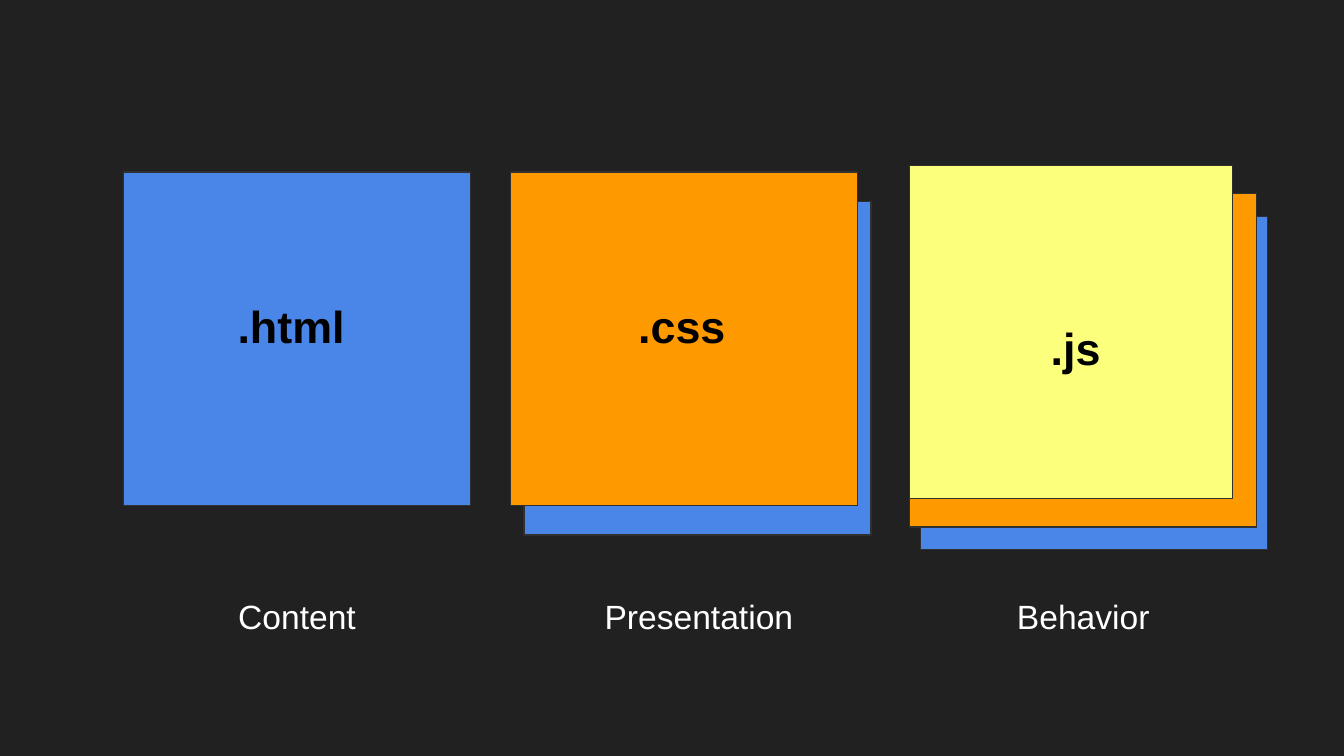
from pptx import Presentation
from pptx.dml.color import RGBColor
from pptx.enum import shapes, text
from pptx.util import Pt

BLUE, ORANGE, YELLOW = "4A86E8", "FF9900", "FCFF7B"
BACKGROUND, OUTLINE, WHITE, BLACK = "212121", "303030", "FFFFFF", "000000"
CARD_WIDTH, CARD_HEIGHT = 185.8, 178.6


def color(value):
    return RGBColor.from_string(value)


class SlideBuilder:
    font_name = "Arial"
    inset = 7.2

    def __init__(self, slide):
        self.slide = slide

    def background(self, fill):
        background_fill = self.slide.background.fill
        background_fill.solid()
        background_fill.fore_color.rgb = color(fill)

    def card(self, left, top, fill, width=CARD_WIDTH):
        shape = self.slide.shapes.add_shape(
            shapes.MSO_SHAPE.RECTANGLE,
            Pt(left), Pt(top), Pt(width), Pt(CARD_HEIGHT))
        shape.shadow.inherit = False
        shape.fill.solid()
        shape.fill.fore_color.rgb = color(fill)
        shape.line.color.rgb = color(OUTLINE)
        shape.line.width = Pt(0.75)

    def label(self, words, left, top, width, size, ink,
              bold=False, align=text.PP_ALIGN.LEFT):
        box = self.slide.shapes.add_textbox(Pt(left), Pt(top), Pt(width), Pt(67))
        frame = box.text_frame
        frame.word_wrap = True
        frame.vertical_anchor = text.MSO_ANCHOR.TOP
        frame.margin_left = frame.margin_right = Pt(self.inset)
        frame.margin_top = frame.margin_bottom = Pt(self.inset)
        paragraph = frame.paragraphs[0]
        paragraph.text = words
        paragraph.alignment = align
        font = paragraph.font
        font.name, font.size, font.bold = self.font_name, Pt(size), bold
        font.color.rgb = color(ink)


def main():
    presentation = Presentation()
    presentation.slide_width, presentation.slide_height = Pt(720), Pt(405)
    builder = SlideBuilder(
        presentation.slides.add_slide(presentation.slide_layouts[6]))
    builder.background(BACKGROUND)

    # Stacked cards, from back to front
    builder.card(493.2, 115.9, BLUE)
    builder.card(280.8, 108, BLUE)
    builder.card(66.2, 92.2, BLUE)
    builder.card(273.6, 92.2, ORANGE)
    builder.card(487.4, 103.7, ORANGE)
    builder.card(487.4, 88.6, YELLOW, width=172.8)

    # Role of each layer, below its stack
    for role, left in (("Content", 84.2), ("Presentation", 299.5), ("Behavior", 505.4)):
        builder.label(role, left, 311.8, 149.8, 18, WHITE,
                      align=text.PP_ALIGN.CENTER)

    # File extensions on the front cards
    for extension, left, top in ((".html", 120.2, 152.6), (".css", 334.8, 152.6),
                                 (".js", 555.8, 164.9)):
        builder.label(extension, left, top, 126, 24, BLACK, bold=True)

    presentation.save("out.pptx")


if __name__ == "__main__":
    main()
